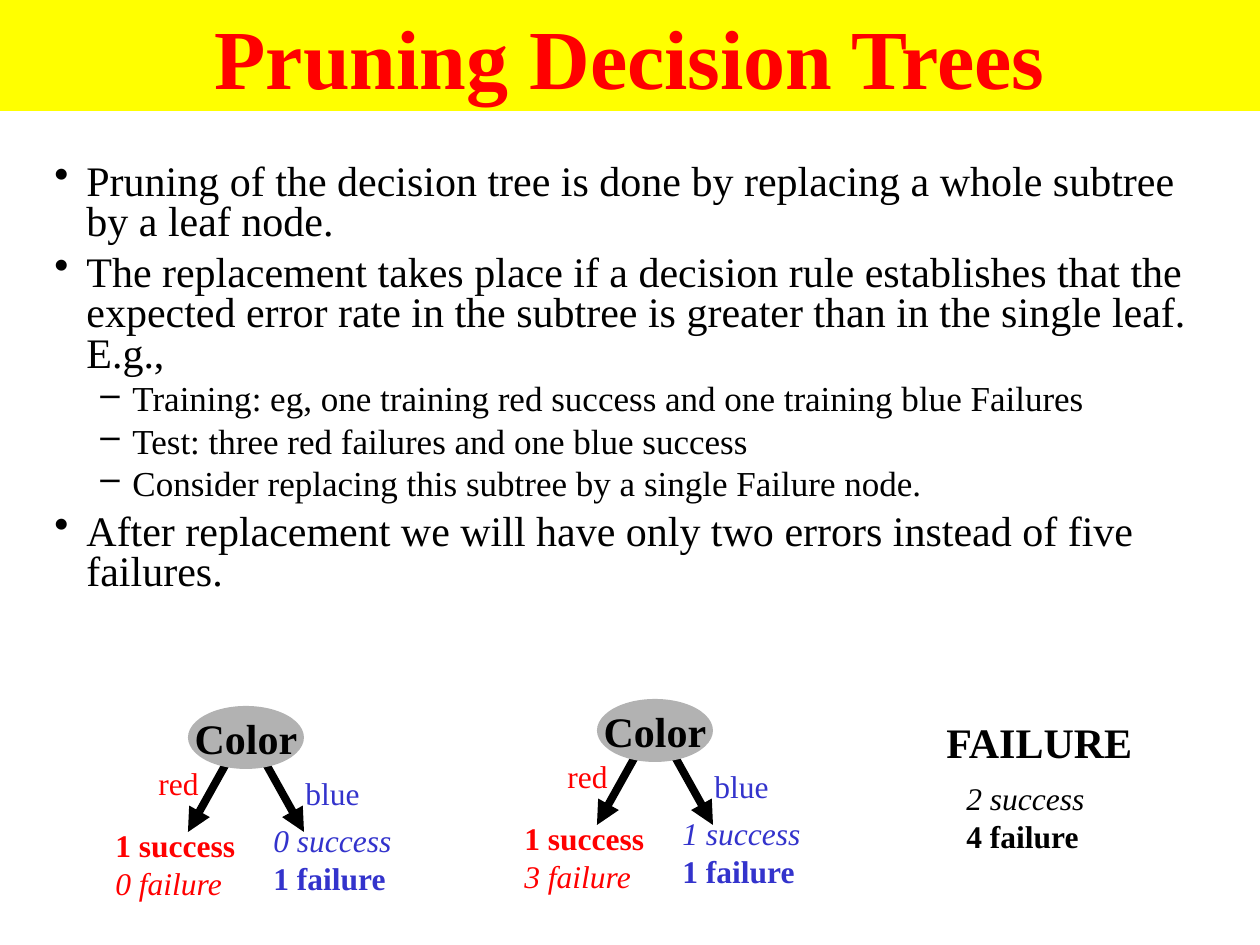
"""Build the slide on pruning decision trees."""
from lxml.etree import SubElement
from pptx import Presentation
from pptx.dml.color import RGBColor
from pptx.enum.shapes import MSO_CONNECTOR as Connector, MSO_SHAPE as Shape
from pptx.enum.text import MSO_ANCHOR as Anchor, PP_ALIGN as Align
from pptx.oxml.ns import qn
from pptx.util import Emu, Pt

RED, BLUE, BLACK = "FF0000", "3333CC", "000000"
PX = 914400 / 126


def px(*lengths):
    return [Emu(round(length * PX)) for length in lengths]


def write(box, lines, size, color, align=Align.LEFT):
    frame = box.text_frame
    frame.word_wrap = False
    for index, (text, style) in enumerate(lines):
        para = frame.paragraphs[0] if index == 0 else frame.add_paragraph()
        para.text = text
        para.alignment = align
        font = para.font
        font.name, font.size = "Times New Roman", Pt(size)
        font.bold, font.italic = style == "bold", style == "italic"
        font.color.rgb = RGBColor.from_string(color)


deck = Presentation()
deck.slide_width, deck.slide_height = px(1260, 945)
page = deck.slides.add_slide(deck.slide_layouts[6])
shapes = page.shapes

title = shapes.add_shape(Shape.RECTANGLE, *px(0, 0, 1260, 111))
title.shadow.inherit = False
title.fill.solid()
title.fill.fore_color.rgb = RGBColor.from_string("FFFF00")
title.line.fill.background()
title.text_frame.vertical_anchor = Anchor.MIDDLE
write(title, [("Pruning Decision Trees", "bold")], 48, RED, Align.CENTER)

levels = [("•", 24, 32, 6), ("–", 20, 78, 5)]
points = [
    (0, "Pruning of the decision tree is done by replacing a whole subtree by a leaf node."),
    (0, "The replacement takes place if a decision rule establishes that the expected "
        "error rate in the subtree is greater than in the single leaf. E.g.,"),
    (1, "Training: eg, one training red success and one training blue Failures"),
    (1, "Test: three red failures and one blue success"),
    (1, "Consider replacing this subtree by a single Failure node."),
    (0, "After replacement we will have only two errors instead of five failures."),
]
body = shapes.add_textbox(*px(42, 158, 1176, 483))
write(body, [(text, "plain") for level, text in points], 24, BLACK)
body.text_frame.word_wrap = True
for index, (para, (level, text)) in enumerate(zip(body.text_frame.paragraphs, points)):
    bullet, size, margin, gap = levels[level]
    para.level = level
    para.line_spacing = 0.8
    if index:
        para.space_before = Pt(gap)
    para.font.size = Pt(size)
    properties = para._p.get_or_add_pPr()
    properties.set("marL", str(px(margin)[0]))
    properties.set("indent", str(px(-32)[0]))
    mark = properties.makeelement(qn("a:buChar"), {"char": bullet})
    properties.insert_element_before(mark, "a:tabLst", "a:defRPr", "a:extLst")

trees = [
    (188, 706, ["1 success", "0 failure"], ["0 success", "1 failure"]),
    (597, 699, ["1 success", "3 failure"], ["1 success", "1 failure"]),
]
for left, top, red_counts, blue_counts in trees:
    for start, end in [(53, 0), (63, 116)]:
        branch = shapes.add_connector(
            Connector.STRAIGHT, *px(left + start, top + 31, left + end, top + 126))
        branch.line.width = Pt(4.5)
        branch.line.color.rgb = RGBColor.from_string(BLACK)
        SubElement(branch.line._get_or_add_ln(), qn("a:tailEnd"), type="triangle")
        SubElement(branch._element.spPr, qn("a:effectLst"))

    node = shapes.add_shape(Shape.OVAL, *px(left, top, 116, 63))
    node.shadow.inherit = False
    node.fill.solid()
    node.fill.fore_color.rgb = RGBColor.from_string("B2B2B2")
    node.line.fill.background()
    node.text_frame.vertical_anchor = Anchor.MIDDLE
    write(node, [("Color", "bold")], 24, BLACK, Align.CENTER)

    labels = [
        (-85, 114, 145, 88, zip(red_counts, ["bold", "italic"]), RED),
        (73, 109, 144, 88, zip(blue_counts, ["italic", "bold"]), BLUE),
        (-42, 52, 66, 50, [("red", "plain")], RED),
        (105, 62, 79, 50, [("blue", "plain")], BLUE),
    ]
    for right, down, width, height, lines, color in labels:
        label = shapes.add_textbox(*px(left + right, top + down, width, height))
        write(label, lines, 18, color)

counts = shapes.add_textbox(*px(954, 773, 144, 88))
write(counts, [("2 success", "italic"), ("4 failure", "bold")], 18, BLACK)
leaf = shapes.add_textbox(*px(934, 710, 214, 63))
write(leaf, [("FAILURE", "bold")], 24, BLACK)

deck.save("out.pptx")
